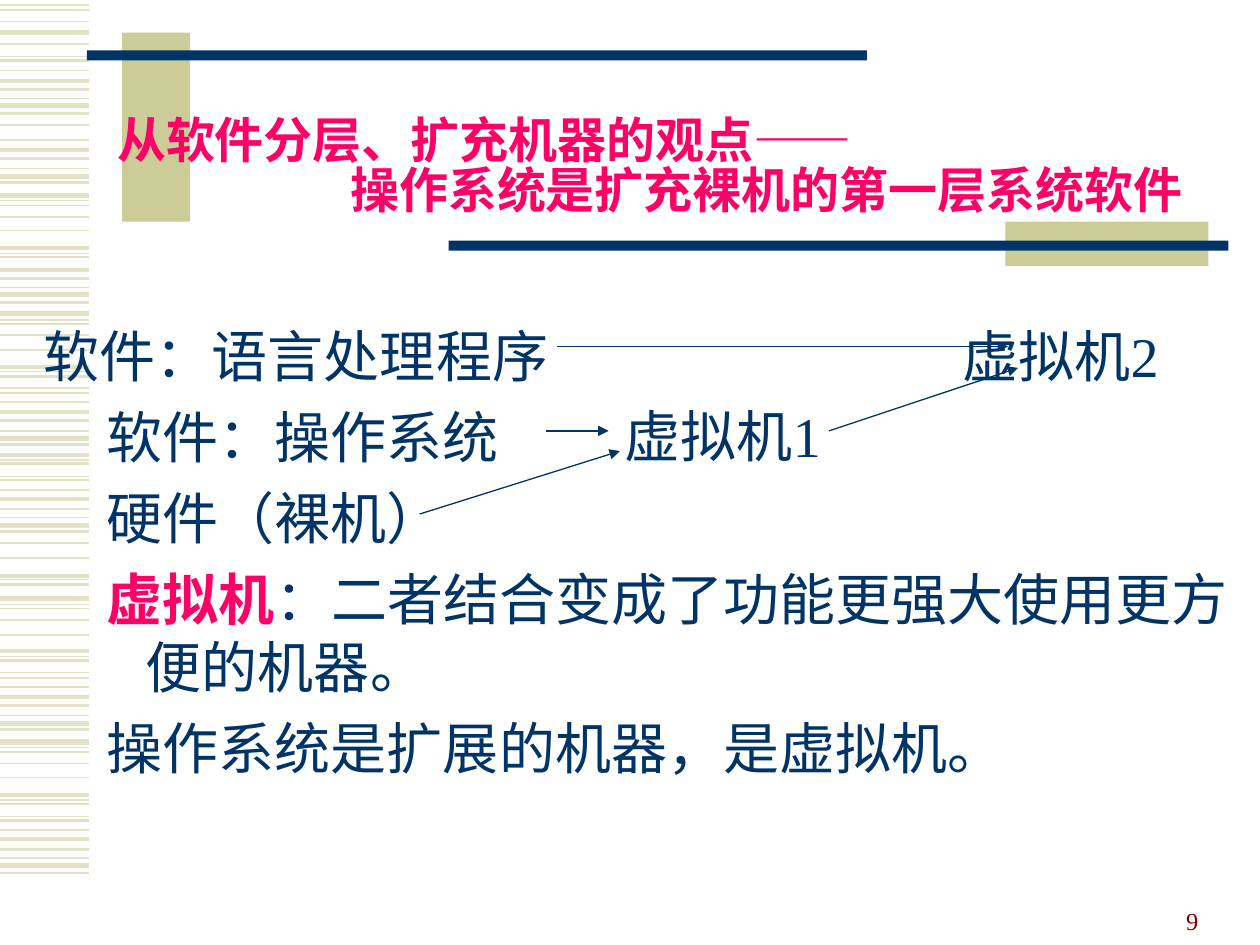
from pptx import Presentation
from pptx.util import Inches, Pt
from pptx.dml.color import RGBColor as RGB
from pptx.enum.shapes import MSO_CONNECTOR as LINK, MSO_SHAPE as SHAPE
from pptx.enum.text import MSO_ANCHOR as ANCHOR, PP_ALIGN as ALIGN, MSO_AUTO_SIZE as FIT
from pptx.oxml.ns import qn
from lxml.etree import SubElement as Sub

THEME = dict(font="Times New Roman", navy="003366", pink="FF0066", sand="CCCC99",
             pale="E3E2C7", wine="800000", head=28, body=32, foot=14, rule=0.75)

TITLE = [
    dict(runs=[("从软件分层、扩充机器的观点――", {})]),
    dict(runs=[("操作系统是扩充裸机的第一层系统软件", {})], left=1.85),
]
HOT = dict(color=THEME["pink"], bold=True)
BODY = [
    dict(runs=[("软件：语言处理程序", {})]),
    dict(runs=[("软件：操作系统", {})], left=0.5),
    dict(runs=[("硬件（裸机）", {})], left=0.5),
    dict(runs=[("虚拟机", HOT), ("：二者结合变成了功能更强大使用更方便的机器。", {})],
         left=0.81, first=-0.31),
    dict(runs=[("操作系统是扩展的机器，是虚拟机。", {})], left=0.5),
]
TOP, STEP = 2.5, 0.64
LABELS = [("虚拟机2", 7.54), ("虚拟机1", 4.86)]
PAGE = [dict(runs=[("9", {})])]

STRIPES = {
    0.75: [0.04, 0.45, 0.78, 1.34, 1.59, 2.01, 2.28, 2.54, 2.95, 3.08, 3.42, 3.65,
           3.78, 4.11, 4.6, 4.8, 5.21, 5.34, 5.68, 5.93, 6.35, 6.48, 6.81],
    1: [0.08, 0.17, 0.56, 0.99, 1.11, 1.63, 1.72, 1.83, 2.57, 2.66, 2.78, 3.19,
        3.89, 4.31, 4.43, 4.83, 4.92, 5.04, 5.45, 5.97, 6.06, 6.17, 6.59],
    1.5: [0.35, 0.48, 0.71, 0.9, 1.26, 1.45, 2.04, 2.21, 2.4, 2.99, 3.12, 3.34, 3.53,
          3.68, 3.81, 4.04, 4.22, 4.64, 5.24, 5.38, 5.6, 5.79, 6.38, 6.51, 6.74, 6.93],
    2.25: [0.64, 1.19, 1.97, 2.14, 2.91, 3.27, 3.61, 3.96, 4.57, 5.17, 5.53, 6.31, 6.66],
    3: [0.26, 0.84, 1.4, 1.55, 2.34, 2.49, 3.48, 4.17, 4.75, 5.74, 5.89, 6.87],
}
BARS = [
    ("sand", 0.97, 0.26, 0.54, 1.5),
    ("navy", 0.69, 0.4, 6.19, 0.08),
    ("sand", 7.98, 1.76, 1.61, 0.35),
    ("navy", 3.56, 1.91, 6.19, 0.08),
]
ARROWS = [
    (3.33, 4.08, 4.92, 3.58),
    (4.33, 3.42, 4.83, 3.42),
    (6.58, 3.42, 8.08, 2.92),
    (4.42, 2.75, 8, 2.75),
]


def write(box, paras, size, color, bold=False, align=ALIGN.LEFT,
          anchor=ANCHOR.TOP, space=0, pitch=None):
    frame = box.text_frame
    frame.word_wrap = True
    frame.auto_size = FIT.NONE
    frame.vertical_anchor = anchor
    for i, item in enumerate(paras):
        para = frame.add_paragraph() if i else frame.paragraphs[0]
        para.alignment = align
        para.space_before = Pt(space if i else 0)
        if pitch:
            para.line_spacing = pitch
        props = para._p.get_or_add_pPr()
        props.set("marL", str(Inches(item.get("left", 0))))
        props.set("indent", str(Inches(item.get("first", 0))))
        for text, style in item["runs"]:
            run = para.add_run()
            run.text = text
            font = run.font
            font.name = THEME["font"]
            font.size = Pt(size)
            font.bold = style.get("bold", bold)
            font.color.rgb = RGB.from_string(style.get("color", color))


def rule(shapes, ends, color, width, arrow=False):
    line = shapes.add_connector(LINK.STRAIGHT, *map(Inches, ends))
    line.line.color.rgb = RGB.from_string(color)
    line.line.width = Pt(width)
    if arrow:
        Sub(line.line._get_or_add_ln(), qn("a:tailEnd"), type="triangle")
    Sub(line._element.spPr, qn("a:effectLst"))


def main():
    deck = Presentation()
    deck.slide_width, deck.slide_height = Inches(10), Inches(7.5)
    shapes = deck.slides.add_slide(deck.slide_layouts[5]).shapes

    for width, rows in STRIPES.items():
        for y in rows:
            rule(shapes, (0, y, 0.71, y), THEME["pale"], width)
    for name, *spot in BARS:
        bar = shapes.add_shape(SHAPE.RECTANGLE, *map(Inches, spot))
        bar.shadow.inherit = False
        bar.fill.solid()
        bar.fill.fore_color.rgb = RGB.from_string(THEME[name])
        bar.line.fill.background()

    title = shapes.title
    title.left, title.top, title.width, title.height = map(Inches, (0.83, 0.75, 9.17, 1.17))
    write(title, TITLE, THEME["head"], THEME["pink"], bold=True,
          anchor=ANCHOR.MIDDLE, pitch=0.85)
    shapes._spTree.append(title._element)

    body = shapes.add_textbox(*map(Inches, (0.25, TOP, 9.75, 4.58)))
    write(body, BODY, THEME["body"], THEME["navy"], space=8)
    for i, (text, x) in enumerate(LABELS):
        label = shapes.add_textbox(*map(Inches, (x, TOP + i * STEP, 2.2, STEP)))
        write(label, [dict(runs=[(text, {})])], THEME["body"], THEME["navy"])
    for ends in ARROWS:
        rule(shapes, ends, THEME["navy"], THEME["rule"], arrow=True)
    page = shapes.add_textbox(*map(Inches, (7.21, 6.97, 2.4, 0.5)))
    write(page, PAGE, THEME["foot"], THEME["wine"], align=ALIGN.RIGHT, anchor=ANCHOR.BOTTOM)

    deck.save("out.pptx")


if __name__ == "__main__":
    main()
